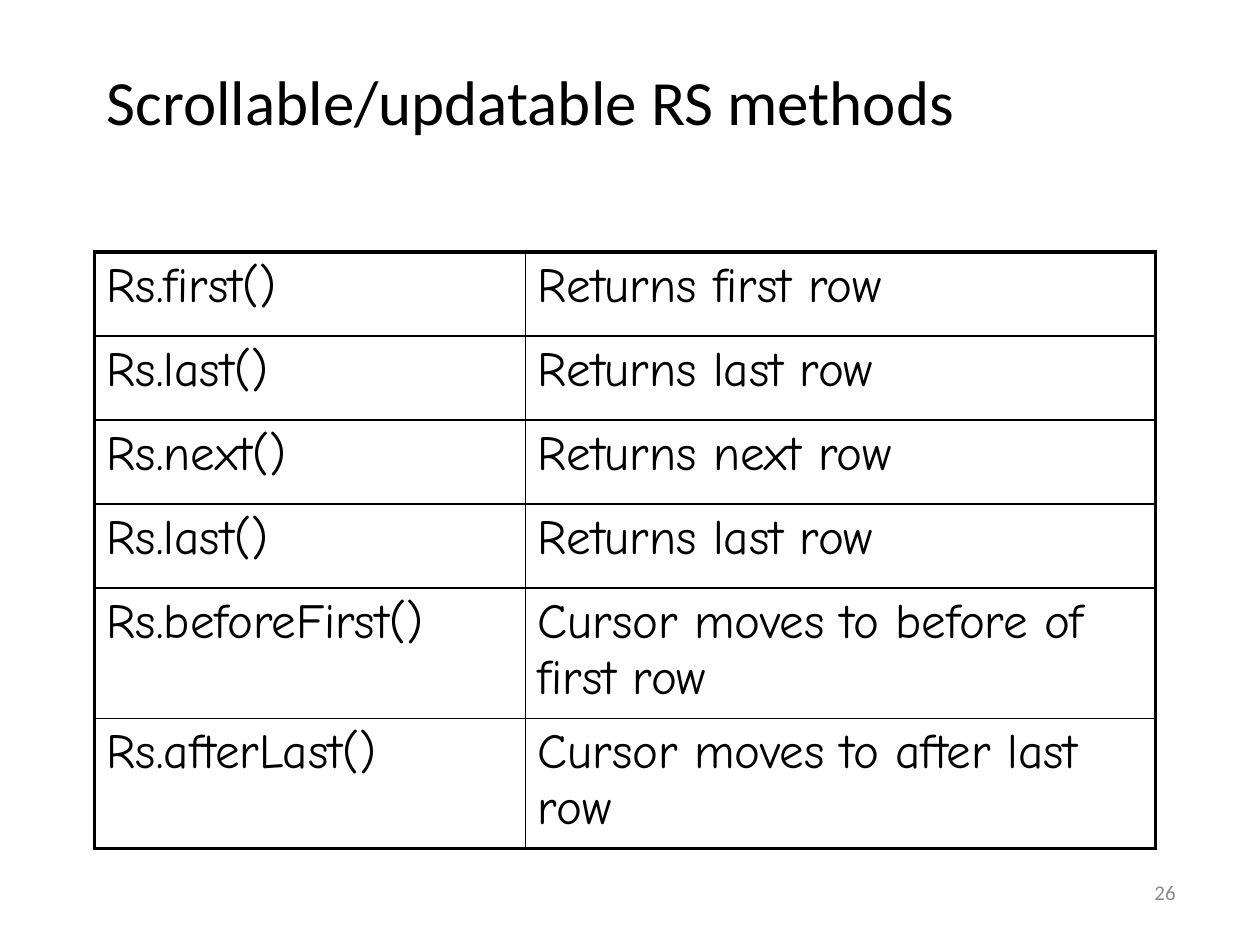
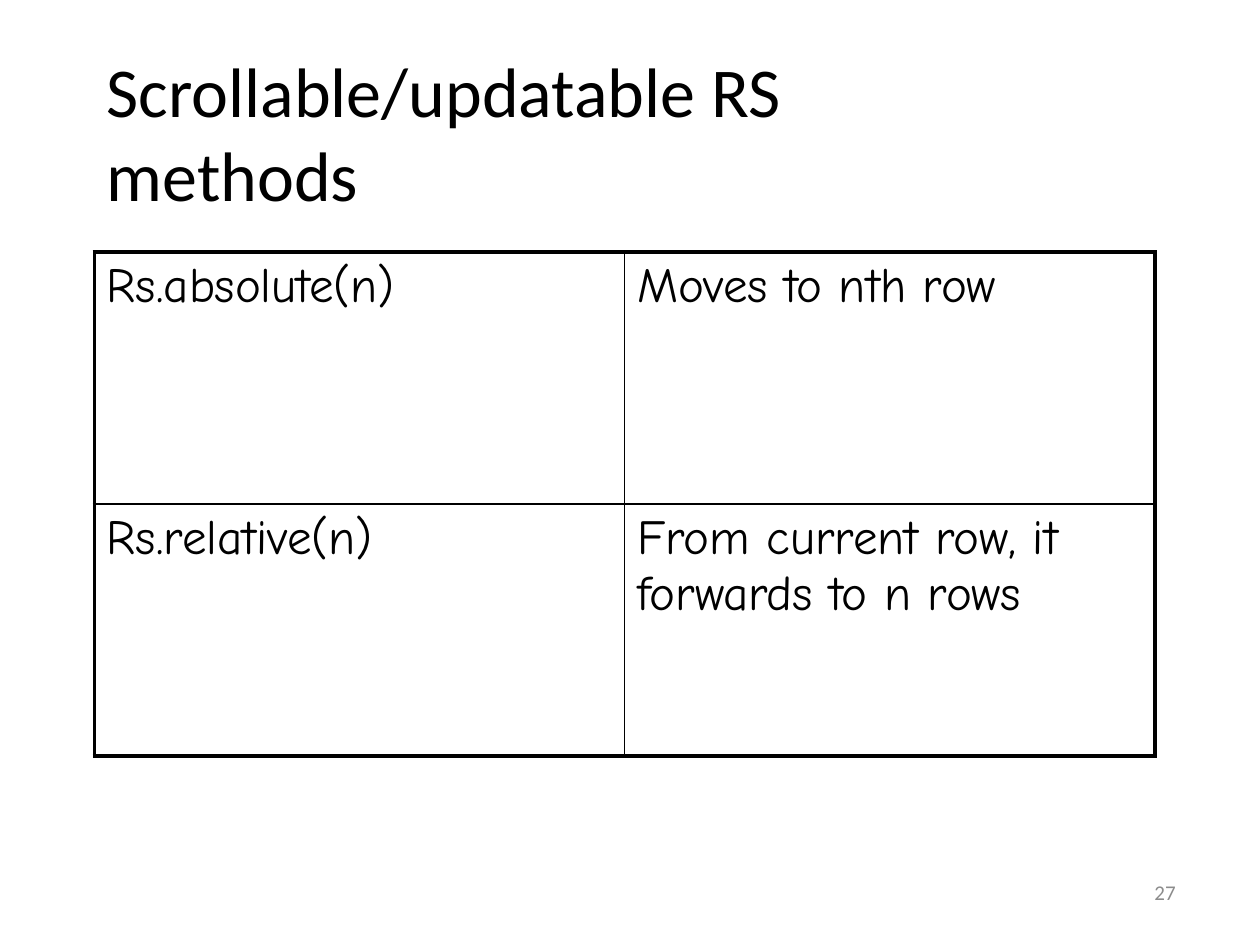
from dataclasses import dataclass

from lxml import etree
from pptx import Presentation
from pptx import util as u
from pptx.dml.color import RGBColor
from pptx.enum import text
from pptx.oxml import ns


@dataclass(frozen=True)
class Theme:
    ink: str = "000000"
    muted: str = "8C8C8C"
    heading_font: str = "Calibri"
    table_font: str = "Comic Neue"
    table_size: float = 28
    number_size: float = 12
    outer_line: float = 2.25
    inner_line: float = 1


THEME = Theme()
TITLE = "Scrollable/updatable RS methods"
LEFT = u.Cm(1.9)
TABLE_TOP = u.Cm(5.08)
TABLE_HEIGHT = u.Cm(10.16)
TITLE_ONLY = 5

CURSOR_METHODS = [
    ("Rs.first()", "Returns first row"),
    ("Rs.last()", "Returns last row"),
    ("Rs.next()", "Returns next row"),
    ("Rs.last()", "Returns last row"),
    ("Rs.beforeFirst()", "Cursor moves to before of first row"),
    ("Rs.afterLast()", "Cursor moves to after last row"),
]
POSITION_METHODS = [
    ("Rs.absolute(n)", "Moves to nth row"),
    ("Rs.relative(n)", "From current row, it forwards to n rows"),
]


def add_span(para, words, font, size, color):
    span = para.add_run()
    span.text = words
    span.font.name = font
    span.font.size = u.Pt(size)
    span.font.color.rgb = RGBColor.from_string(color)


def set_title(page, width, height, size):
    title = page.shapes.title
    title.left, title.top = LEFT, u.Cm(0.43)
    title.width, title.height = u.Cm(width), u.Cm(height)
    frame = title.text_frame
    frame.word_wrap = True
    frame.auto_size = text.MSO_AUTO_SIZE.NONE
    frame.vertical_anchor = text.MSO_ANCHOR.MIDDLE
    para = frame.paragraphs[0]
    para.alignment = text.PP_ALIGN.LEFT
    add_span(para, TITLE, THEME.heading_font, size, THEME.ink)


def add_page_number(page, number):
    box = page.shapes.add_textbox(u.Cm(18.67), u.Cm(17.35), u.Cm(5.28), u.Cm(1.27))
    frame = box.text_frame
    frame.word_wrap = True
    frame.vertical_anchor = text.MSO_ANCHOR.MIDDLE
    para = frame.paragraphs[0]
    para.alignment = text.PP_ALIGN.RIGHT
    add_span(para, str(number), THEME.heading_font, THEME.number_size, THEME.muted)


def set_borders(cell, outer_sides):
    """Draw all four sides, heavier on those that lie on the table's edge."""
    properties = cell._tc.get_or_add_tcPr()
    for index, (side, is_outer) in enumerate(outer_sides.items()):
        width = THEME.outer_line if is_outer else THEME.inner_line
        line = etree.Element(ns.qn(f"a:ln{side}"), w=str(u.Pt(width)))
        fill = etree.SubElement(line, ns.qn("a:solidFill"))
        etree.SubElement(fill, ns.qn("a:srgbClr"), val=THEME.ink)
        properties.insert(index, line)


def set_space_before(para, percent):
    """Set spacing relative to the type size, which python-pptx does not offer."""
    space = etree.SubElement(para._p.get_or_add_pPr(), ns.qn("a:spcBef"))
    etree.SubElement(space, ns.qn("a:spcPct"), val=str(percent * 1000))


def add_method_table(page, methods, column_widths):
    widths = [u.Cm(width) for width in column_widths]
    last_row, last_column = len(methods) - 1, len(widths) - 1
    table = page.shapes.add_table(
        len(methods), len(widths), LEFT, TABLE_TOP, sum(widths), TABLE_HEIGHT
    ).table
    table.first_row = table.horz_banding = False
    for column, width in zip(table.columns, widths):
        column.width = width
    for r, method in enumerate(methods):
        for c, words in enumerate(method):
            cell = table.cell(r, c)
            cell.fill.background()
            set_borders(cell, {"L": c == 0, "R": c == last_column,
                               "T": r == 0, "B": r == last_row})
            para = cell.text_frame.paragraphs[0]
            set_space_before(para, 20)
            add_span(para, words, THEME.table_font, THEME.table_size, THEME.ink)


def add_page(deck, number, title_box, methods, column_widths):
    """Build one page; title_box holds width, height and type size."""
    page = deck.slides.add_slide(deck.slide_layouts[TITLE_ONLY])
    add_page_number(page, number)
    set_title(page, *title_box)
    add_method_table(page, methods, column_widths)


def main():
    deck = Presentation()
    deck.slide_width, deck.slide_height = u.Cm(25.4), u.Cm(19.05)
    add_page(deck, 26, (22.66, 3.18, 36), CURSOR_METHODS, (8.69, 12.7))
    add_page(deck, 27, (19.08, 4.45, 40), POSITION_METHODS, (10.69, 10.69))
    deck.save("out.pptx")


if __name__ == "__main__":
    main()
